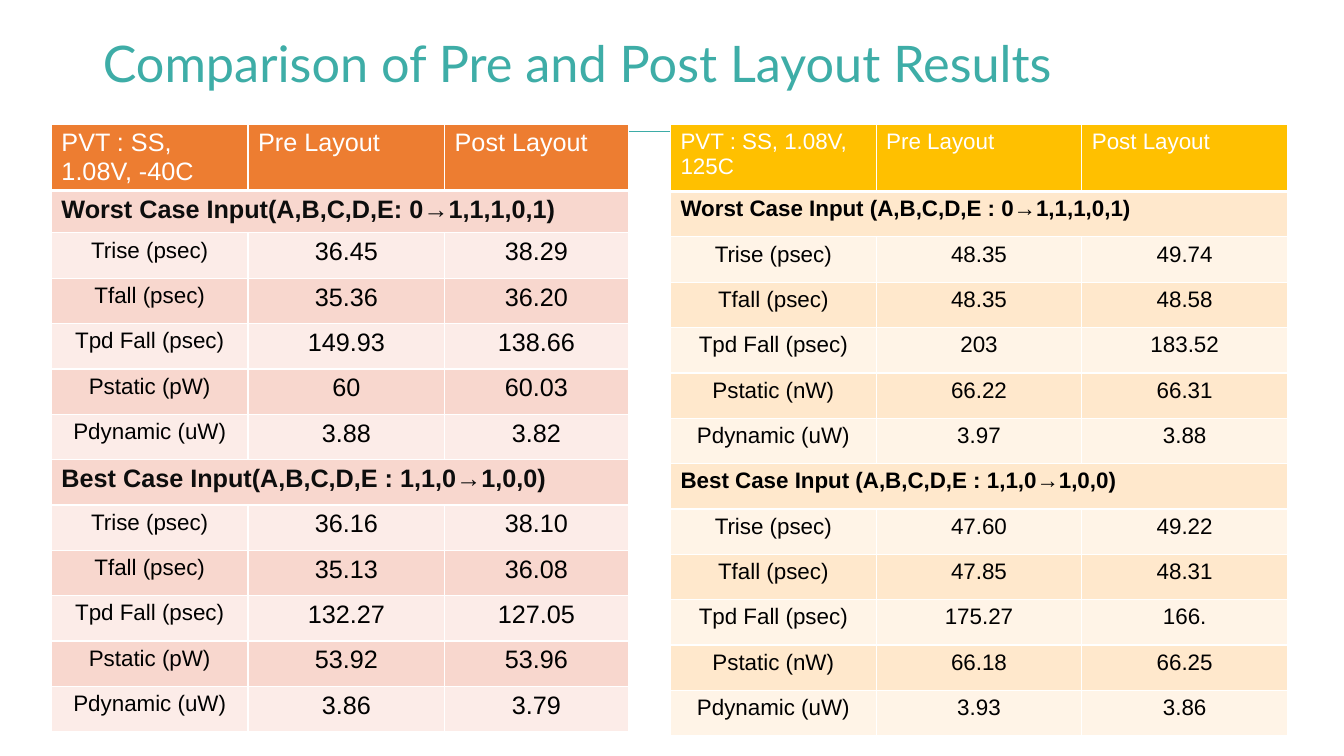
from lxml import etree
from pptx import Presentation
from pptx import util as u
from pptx.dml.color import RGBColor
from pptx.enum import shapes, text
from pptx.oxml import ns

PX = 9144  # 100 px to the inch

TEAL = RGBColor(0x3E, 0xAD, 0xA7)
RULE_TEAL = RGBColor(0x3D, 0xAC, 0xA7)
WHITE = RGBColor(0xFF, 0xFF, 0xFF)
BLACK = RGBColor(0, 0, 0)
INK = RGBColor(0x0D, 0x0D, 0x0D)
ORANGE = RGBColor(0xED, 0x7D, 0x31)
ORANGE_BAND = RGBColor(0xF8, 0xD7, 0xCE)
ORANGE_PALE = RGBColor(0xFC, 0xEC, 0xE8)
GOLD = RGBColor(0xFF, 0xC0, 0x00)
GOLD_BAND = RGBColor(0xFF, 0xE8, 0xCC)
GOLD_PALE = RGBColor(0xFF, 0xF4, 0xE7)

# Rows with a single entry are section headings across the table
COLD_ROWS = [
    ("PVT : SS, 1.08V, -40C", "Pre Layout", "Post Layout"),
    ("Worst Case Input(A,B,C,D,E: 0→1,1,1,0,1)",),
    ("Trise (psec)", "36.45", "38.29"),
    ("Tfall (psec)", "35.36", "36.20"),
    ("Tpd Fall (psec)", "149.93", "138.66"),
    ("Pstatic (pW)", "60", "60.03"),
    ("Pdynamic (uW)", "3.88", "3.82"),
    ("Best Case Input(A,B,C,D,E : 1,1,0→1,0,0)",),
    ("Trise (psec)", "36.16", "38.10"),
    ("Tfall (psec)", "35.13", "36.08"),
    ("Tpd Fall (psec)", "132.27", "127.05"),
    ("Pstatic (pW)", "53.92", "53.96"),
    ("Pdynamic (uW)", "3.86", "3.79"),
]
HOT_ROWS = [
    ("PVT : SS, 1.08V, 125C", "Pre Layout", "Post Layout"),
    ("Worst Case Input (A,B,C,D,E : 0→1,1,1,0,1)",),
    ("Trise (psec)", "48.35", "49.74"),
    ("Tfall (psec)", "48.35", "48.58"),
    ("Tpd Fall (psec)", "203", "183.52"),
    ("Pstatic (nW)", "66.22", "66.31"),
    ("Pdynamic (uW)", "3.97", "3.88"),
    ("Best Case Input (A,B,C,D,E : 1,1,0→1,0,0)",),
    ("Trise (psec)", "47.60", "49.22"),
    ("Tfall (psec)", "47.85", "48.31"),
    ("Tpd Fall (psec)", "175.27", "166."),
    ("Pstatic (nW)", "66.18", "66.25"),
    ("Pdynamic (uW)", "3.93", "3.86"),
]


def px(*lengths):
    return [u.Emu(length * PX) for length in lengths]


def format_paragraph(paragraph, font_name, size, color, bold=False):
    for run in paragraph.runs:
        run.font.name = font_name
        run.font.size = u.Pt(size)
        run.font.bold = bold
        run.font.color.rgb = color


def add_title(slide, box, words):
    title = slide.shapes.title
    title.left, title.top, title.width, title.height = px(*box)
    frame = title.text_frame
    frame.text = words
    frame.word_wrap = True
    frame.auto_size = text.MSO_AUTO_SIZE.NONE
    frame.vertical_anchor = text.MSO_ANCHOR.MIDDLE
    paragraph = frame.paragraphs[0]
    paragraph.alignment = text.PP_ALIGN.LEFT
    paragraph.line_spacing = 0.9
    format_paragraph(paragraph, "Lato", 36, TEAL)


def add_rule(slide, left, right, top):
    rule = slide.shapes.add_connector(
        shapes.MSO_CONNECTOR.STRAIGHT, *px(left, top, right, top))
    rule.line.color.rgb = RULE_TEAL
    rule.line.width = u.Pt(0.75)
    etree.SubElement(rule._element.spPr, ns.qn("a:effectLst"))


def set_borders(cell, top_width, bottom_width):
    properties = cell._tc.get_or_add_tcPr()
    for side, width in (("L", 1), ("R", 1), ("T", top_width), ("B", bottom_width)):
        line = etree.SubElement(properties, ns.qn(f"a:ln{side}"), w=str(u.Pt(width)))
        fill = etree.SubElement(line, ns.qn("a:solidFill"))
        etree.SubElement(fill, ns.qn("a:srgbClr"), val=str(WHITE))


def add_results(slide, box, column_widths, row_heights, rows, fills,
                value_size, heading_color):
    frame = slide.shapes.add_table(len(rows), len(column_widths), *px(*box))
    table = frame.table
    table.horz_banding = False
    for column, width in zip(table.columns, px(*column_widths)):
        column.width = width
    for row, height in zip(table.rows, px(*row_heights)):
        row.height = height

    header_fill, band_fill, pale_fill = fills
    for r, entries in enumerate(rows):
        is_header, is_section = r == 0, len(entries) == 1
        fill = header_fill if is_header else band_fill if r % 2 else pale_fill
        for c in range(len(column_widths)):
            cell = table.cell(r, c)
            set_borders(cell, 3 if r == 1 else 1, 3 if is_header else 1)
            cell.fill.solid()
            cell.fill.fore_color.rgb = fill
        if is_section:
            table.cell(r, 0).merge(table.cell(r, len(column_widths) - 1))

        for c, entry in enumerate(entries):
            paragraph = table.cell(r, c).text_frame.paragraphs[0]
            paragraph.text = entry
            if is_header:
                size, color = value_size, WHITE
            elif is_section:
                size, color = value_size, heading_color
            else:
                size, color = (value_size if c else 16), BLACK
                paragraph.alignment = text.PP_ALIGN.CENTER
            format_paragraph(paragraph, "Arial", size, color, bold=is_section)


def build_comparison(presentation):
    slide = presentation.slides.add_slide(presentation.slide_layouts[5])
    add_title(slide, (92, 21, 1033, 90), "Comparison of Pre and Post Layout Results")
    add_rule(slide, 92, 1242, 130)
    # Cold corner on the left, hot corner on the right
    add_results(slide, (51, 123, 572, 603), (195, 195, 182), [66, 42] + [45] * 11,
                COLD_ROWS, (ORANGE, ORANGE_BAND, ORANGE_PALE), 18, INK)
    add_results(slide, (665, 123, 612, 607), (204, 204, 204), [67] + [45] * 12,
                HOT_ROWS, (GOLD, GOLD_BAND, GOLD_PALE), 16, BLACK)


def main():
    presentation = Presentation()
    presentation.slide_width, presentation.slide_height = px(1333, 750)
    build_comparison(presentation)
    presentation.save("out.pptx")


if __name__ == "__main__":
    main()
